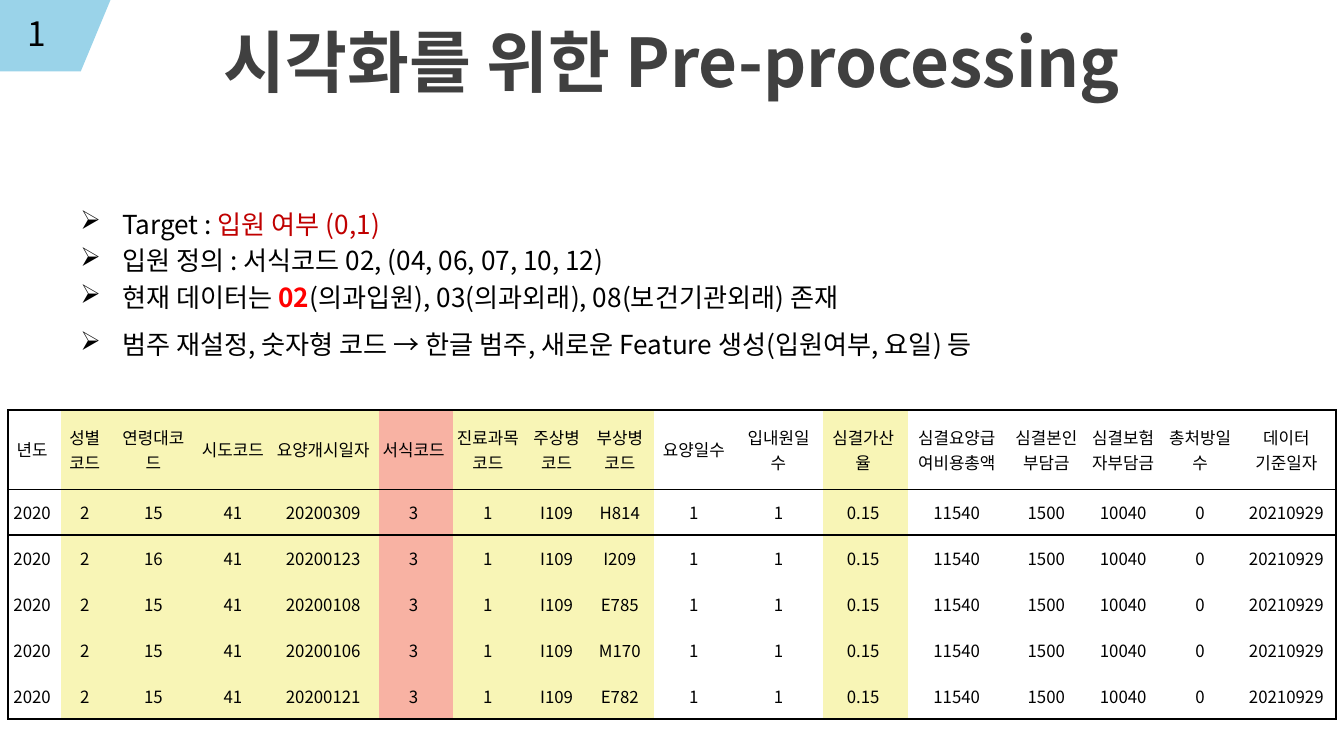
from dataclasses import dataclass

from lxml import etree
from pptx import Presentation
from pptx import util as u
from pptx.dml import color
from pptx.enum import shapes, text
from pptx.oxml import ns


@dataclass(frozen=True)
class Theme:
    font: str = "Noto Sans CJK KR"
    ink: str = "000000"
    head: str = "404040"
    dark: str = "C00000"
    red: str = "FF0000"
    tab: str = "9AD3E9"
    cream: str = "F8F5B6"
    pink: str = "F8B2A3"
    title: float = 36
    body: float = 14
    mark: float = 18
    cell: float = 9
    edge: float = 1


T = Theme()
PLAIN_GRID = "{2D5ABB26-0587-4C30-8999-92F81FD0307C}"

NOTES = [
    [("Target : ", T.ink, False), ("입원 여부 (0,1)", T.dark, False)],
    [("입원 정의 : 서식코드 02, (04, 06, 07, 10, 12)", T.ink, False)],
    [("현재 데이터는 ", T.ink, False), ("02", T.red, True),
     ("(의과입원), 03(의과외래), 08(보건기관외래) 존재", T.ink, False)],
    [("범주 재설정, 숫자형 코드 → 한글 범주, 새로운 Feature 생성(입원여부, 요일) 등", T.ink, False)],
]

FIELDS = [
    ("년도", 28.2, None), ("성별코드", 28.2, T.cream),
    ("연령대코드", 45.4, T.cream), ("시도코드", 39.8, T.cream),
    ("요양개시일자", 57, T.cream), ("서식코드", 39.8, T.pink),
    ("진료과목코드", 39.8, T.cream), ("주상병코드", 33.9, T.cream),
    ("부상병코드", 33.9, T.cream), ("요양일수", 45.4, None),
    ("입내원일수", 45.4, None), ("심결가산율", 45.4, T.cream),
    ("심결요양급여비용총액", 54.8, None), ("심결본인부담금", 41.2, None),
    ("심결보험자부담금", 41.2, None), ("총처방일수", 41.2, None),
    ("데이터 기준일자", 51.2, None),
]

CASES = [
    ("15", "20200309", "H814"),
    ("16", "20200123", "I209"),
    ("15", "20200108", "E785"),
    ("15", "20200106", "M170"),
    ("15", "20200121", "E782"),
]


def put(obj, vals):
    for key, val in vals.items():
        setattr(obj, key, val)


def tint(fill, hue):
    fill.solid()
    fill.fore_color.rgb = color.RGBColor.from_string(hue)


def child(node, tag, **vals):
    return etree.SubElement(node, ns.qn(tag), vals)


def add_run(para, words, size, hue, bold=False):
    run = para.add_run()
    run.text = words
    put(run.font, {"name": T.font, "size": u.Pt(size), "bold": bold})
    run.font.color.rgb = color.RGBColor.from_string(hue)
    child(run.font._element, "a:ea", typeface=T.font)


def add_box(slide, left, top, wide, high, **vals):
    box = slide.shapes.add_textbox(*map(u.Pt, (left, top, wide, high)))
    put(box.text_frame, {"word_wrap": True, **vals})
    return box.text_frame


def add_label(slide, spot, words, size, hue, bold=False):
    frame = add_box(slide, *spot, vertical_anchor=text.MSO_ANCHOR.MIDDLE,
                    margin_top=0, margin_bottom=0)
    para = frame.paragraphs[0]
    para.alignment = text.PP_ALIGN.CENTER
    add_run(para, words, size, hue, bold)


def add_notes(slide):
    frame = add_box(slide, 0, 100.8, 720, 118.8, margin_top=u.Pt(7.9))
    for num, parts in enumerate(NOTES):
        para = frame.add_paragraph() if num else frame.paragraphs[0]
        last = num == len(NOTES) - 1
        put(para, {"line_spacing": u.Pt(19.6), "space_before": u.Pt(5.6 if last else 0)})
        props = para._p.get_or_add_pPr()
        props.set("marL", str(u.Pt(58.3)))
        props.set("indent", str(u.Pt(-22.3)))
        child(props, "a:buChar", char="➢")
        for words, hue, bold in parts:
            add_run(para, words, T.body, hue, bold)


def add_edge(cell, side):
    line = child(cell._tc.get_or_add_tcPr(), f"a:ln{side}", w=str(u.Pt(T.edge)))
    child(child(line, "a:solidFill"), "a:srgbClr", val=T.ink)


def fill_cell(cell, words, hue, sides):
    put(cell, {"margin_left": u.Pt(2), "margin_right": u.Pt(4.4),
               "margin_top": u.Pt(4.3), "margin_bottom": u.Pt(4.3),
               "vertical_anchor": text.MSO_ANCHOR.MIDDLE})
    for side in sides:
        add_edge(cell, side)
    if hue:
        tint(cell.fill, hue)
    para = cell.text_frame.paragraphs[0]
    para.alignment = text.PP_ALIGN.CENTER
    add_run(para, words, T.cell, T.ink)


def add_grid(slide):
    rows = [[name for name, _, _ in FIELDS]]
    for age, day, code in CASES:
        rows.append(["2020", "2", age, "41", day, "3", "1", "I109", code, "1", "1",
                     "0.15", "11540", "1500", "10040", "0", "20210929"])
    highs = [42.6] + [24.6] * len(CASES)
    wide = sum(field[1] for field in FIELDS)
    spot = map(u.Pt, (4.3, 219.6, wide, sum(highs)))
    grid = slide.shapes.add_table(len(rows), len(FIELDS), *spot).table
    put(grid, {"first_row": False, "horz_banding": False})
    grid._tbl.tblPr.find(ns.qn("a:tableStyleId")).text = PLAIN_GRID
    for col, (_, size, _) in zip(grid.columns, FIELDS):
        col.width = u.Pt(size)
    for r, (row, high) in enumerate(zip(rows, highs)):
        grid.rows[r].height = u.Pt(high)
        for c, words in enumerate(row):
            tests = {"L": c == 0, "R": c == len(row) - 1,
                     "T": r < 2, "B": r in (0, len(rows) - 1)}
            sides = [side for side, drawn in tests.items() if drawn]
            fill_cell(grid.cell(r, c), words, FIELDS[c][2], sides)


def add_tab(slide):
    spot = map(u.Pt, (-20.2, 0, 79.4, 38.2))
    tab = slide.shapes.add_shape(shapes.MSO_SHAPE.FLOWCHART_DATA, *spot)
    tab.shadow.inherit = False
    tint(tab.fill, T.tab)
    tab.line.fill.background()


def main():
    deck = Presentation()
    put(deck, {"slide_width": u.Pt(720), "slide_height": u.Pt(405)})
    slide = deck.slides.add_slide(deck.slide_layouts[6])
    add_label(slide, (0, 10, 720, 45.4), "시각화를 위한 Pre-processing", T.title, T.head, True)
    add_notes(slide)
    add_grid(slide)
    add_tab(slide)
    add_label(slide, (-1.4, 3.6, 42.5, 28.8), "1", T.mark, T.ink)
    deck.save("out.pptx")


if __name__ == "__main__":
    main()
